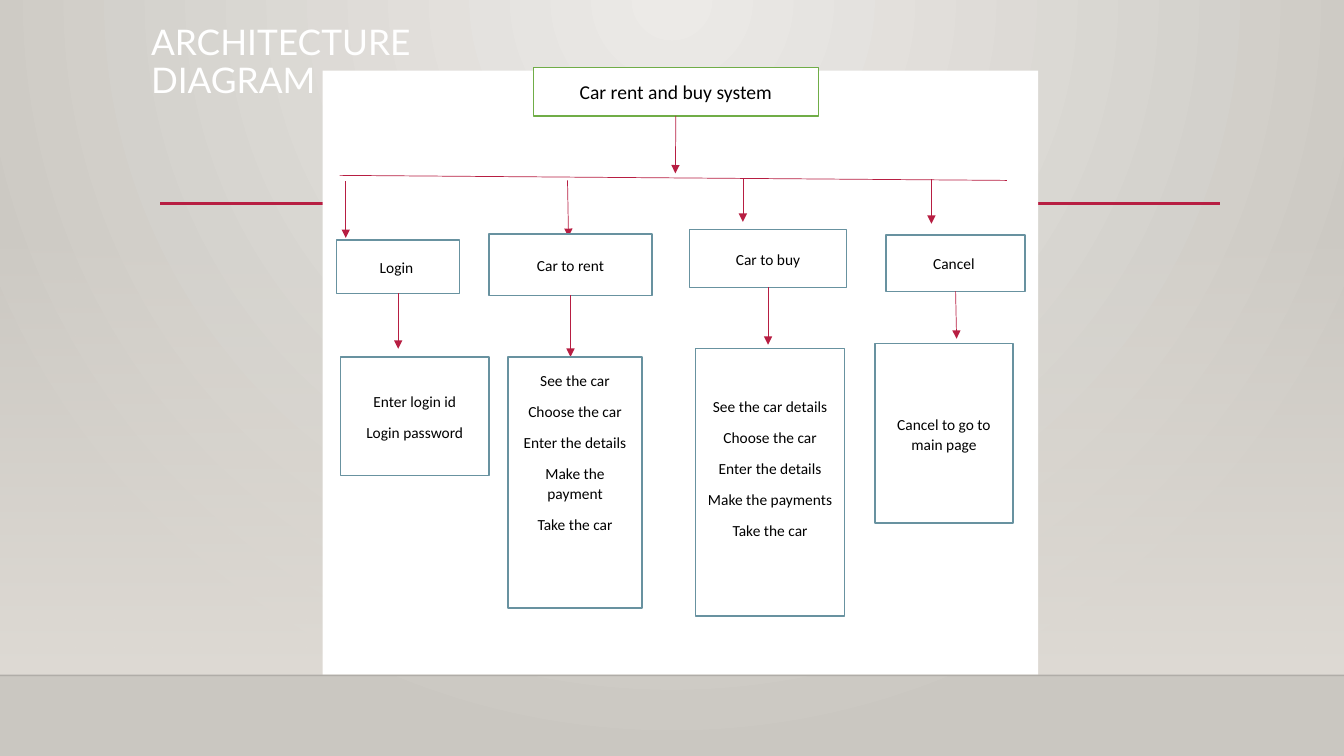
from dataclasses import dataclass

from lxml import etree
from pptx import Presentation
from pptx.dml.color import RGBColor
from pptx.enum.shapes import MSO_CONNECTOR, MSO_SHAPE
from pptx.enum.text import MSO_ANCHOR, PP_ALIGN
from pptx.oxml.ns import qn
from pptx.util import Inches, Pt

RECTANGLE = MSO_SHAPE.RECTANGLE
STRAIGHT = MSO_CONNECTOR.STRAIGHT
MIDDLE, TOP = MSO_ANCHOR.MIDDLE, MSO_ANCHOR.TOP
CENTER = PP_ALIGN.CENTER
BOTTOM_SIDE = 2

CELL = Inches(0.1)  # the slide is a grid of square cells
COLUMNS, ROWS = 133.33, 75
RED, TEAL, GREEN, WHITE, BLACK, SAND = (
    "B71E42", "6892A0", "70AD47", "FFFFFF", "000000", "DFDBD5")


@dataclass
class Box:
    """A region in grid cells."""
    left: float
    top: float
    width: float
    height: float

    def inside(self, parent):
        return Box(parent.left + self.left, parent.top + self.top, self.width, self.height)

    def lengths(self):
        return [cells(n) for n in (self.left, self.top, self.width, self.height)]


@dataclass
class Branch:
    """One column of the diagram, in cells from the corner of the board."""
    title: str
    drop: tuple
    head: Box
    arrow_end: tuple
    detail: Box
    steps: list
    first_step: float = None  # cells above the first step; centred if None


BRANCHES = [
    Branch("Login ", (2.3, 11, 2.3, 16.6), Box(1.4, 16.8, 12.2, 5.3),
           (7.5, 27.6), Box(1.8, 28.4, 14.7, 11.8),
           ["Enter login id", "Login password"]),
    Branch("Car to rent", (24.3, 10.9, 24.4, 16.5), Box(16.5, 16.2, 16.2, 6.1),
           (24.6, 28.4), Box(18.4, 28.4, 13.3, 24.9),
           ["See the car", "Choose the car", "Enter the details",
            "Make the payment", "Take the car"], 1.3),
    Branch("Car to buy", (41.7, 10.7, 41.7, 15), Box(36.4, 15.8, 15.6, 5.7),
           (44.2, 27.2), Box(37, 27.6, 14.8, 26.5),
           ["See the car details", "Choose the car", "Enter the details",
            "Make the payments", "Take the car"], 4.7),
    Branch("Cancel ", (60.4, 10.8, 60.4, 15.2), Box(55.9, 16.3, 13.8, 5.6),
           (62.9, 26.6), Box(54.8, 27.1, 13.7, 17.8),
           ["Cancel to go to main page"]),
]


def cells(count):
    return round(count * CELL)


def color(hex_text):
    return RGBColor.from_string(hex_text)


def set_alpha(parent, percent):
    for color_element in parent.iter(qn("a:srgbClr")):
        etree.SubElement(color_element, qn("a:alpha"), val=str(percent * 1000))


def set_gradient(fill, colors):
    fill.gradient()
    for stop, hex_text in zip(fill.gradient_stops, colors):
        stop.color.rgb = color(hex_text)


def add_line(slide, start_x, start_y, end_x, end_y, width=0.5, hex_text=RED, arrow=False):
    line = slide.shapes.add_connector(
        STRAIGHT, *[cells(n) for n in (start_x, start_y, end_x, end_y)])
    line.line.color.rgb = color(hex_text)
    line.line.width = Pt(width)
    etree.SubElement(line._element.spPr, qn("a:effectLst"))
    if arrow:
        etree.SubElement(line.line._get_or_add_ln(), qn("a:tailEnd"), type="triangle")
    return line


def add_rectangle(slide, box, outline=None):
    shape = slide.shapes.add_shape(RECTANGLE, *box.lengths())
    shape.shadow.inherit = False
    shape.fill.solid()
    shape.fill.fore_color.rgb = color(WHITE)
    if outline:
        shape.line.color.rgb = color(outline)
        shape.line.width = Pt(1)
    else:
        shape.line.fill.background()
    return shape


def add_run(paragraph, text, size, font, hex_text):
    run = paragraph.add_run()
    run.text = text
    run.font.size = Pt(size)
    run.font.name = font
    run.font.color.rgb = color(hex_text)


def add_node(slide, box, texts, outline=TEAL, size=11, spacing=1.07, after=8, first_line=None):
    """Outlined box with one centred paragraph per text."""
    shape = add_rectangle(slide, box, outline)
    frame = shape.text_frame
    frame.word_wrap = True
    frame.vertical_anchor = MIDDLE
    if first_line is not None:
        frame.vertical_anchor = TOP
        frame.margin_top = cells(first_line)
    for index, text in enumerate(texts):
        paragraph = frame.add_paragraph() if index else frame.paragraphs[0]
        paragraph.alignment = CENTER
        paragraph.line_spacing = spacing
        paragraph.space_after = Pt(after)
        add_run(paragraph, text, size, "Calibri", BLACK)
    return shape


def add_arrow_below(slide, shape, end_x, end_y):
    arrow = add_line(slide, 0, 0, end_x, end_y, arrow=True)
    arrow.begin_connect(shape, BOTTOM_SIDE)


def add_backdrop(slide, box):
    """Round glow, fading wall, floor edge and red rule."""
    set_gradient(slide.background.fill, ["ECEAE7", "CAC7C1"])
    glow = slide._element.find(".//" + qn("a:gradFill"))
    glow.remove(glow.find(qn("a:lin")))
    circle = etree.SubElement(glow, qn("a:path"), path="circle")
    etree.SubElement(circle, qn("a:fillToRect"), l="43000", t="0", r="43000", b="100000")

    floor = box.top + 67
    wall = add_rectangle(slide, Box(box.left, box.top + 22.1, box.width, 44.9))
    set_gradient(wall.fill, [SAND, SAND])
    wall.fill.gradient_angle = 270
    set_alpha(wall._element.spPr.find(".//" + qn("a:gs")), 0)
    edge = add_line(slide, box.left, floor, box.left + box.width, floor, 1, BLACK)
    set_alpha(edge._element.spPr, 20)
    add_line(slide, box.left + 15.9, box.top + 20.2, box.left + 121, box.top + 20.2, 2.5)


def add_title(slide, box):
    frame = slide.shapes.add_textbox(*box.lengths()).text_frame
    frame.word_wrap = True
    frame.vertical_anchor = MIDDLE
    paragraph = frame.paragraphs[0]
    paragraph.line_spacing = 0.9
    add_run(paragraph, "ARCHITECTURE DIAGRAM", 25.2, "Lato", WHITE)


def add_branch(slide, board, branch):
    def on_board(*points):
        return [n + (board.top if i % 2 else board.left) for i, n in enumerate(points)]

    add_line(slide, *on_board(*branch.drop), arrow=True)
    head = add_node(slide, branch.head.inside(board), [branch.title])
    add_arrow_below(slide, head, *on_board(*branch.arrow_end))
    add_node(slide, branch.detail.inside(board), branch.steps, first_line=branch.first_step)


def add_diagram(slide, board):
    add_rectangle(slide, board)
    root = add_node(slide, Box(20.9, -0.3, 28.3, 4.8).inside(board),
                    ["Car rent and buy system"], GREEN, 14, 1, 0)
    add_arrow_below(slide, root, board.left + 35, board.top + 10.2)
    add_line(slide, board.left + 1.7, board.top + 10.4, board.left + 67.9, board.top + 10.9)
    for branch in BRANCHES:
        add_branch(slide, board, branch)


def main():
    presentation = Presentation()
    presentation.slide_width = cells(COLUMNS)
    presentation.slide_height = cells(ROWS)
    slide = presentation.slides.add_slide(presentation.slide_layouts[6])
    add_backdrop(slide, Box(0, 0, COLUMNS, ROWS))
    add_title(slide, Box(14, 2, 43.7, 8.6))
    add_diagram(slide, Box(32, 7, 71, 59.9))
    presentation.save("out.pptx")


if __name__ == "__main__":
    main()
